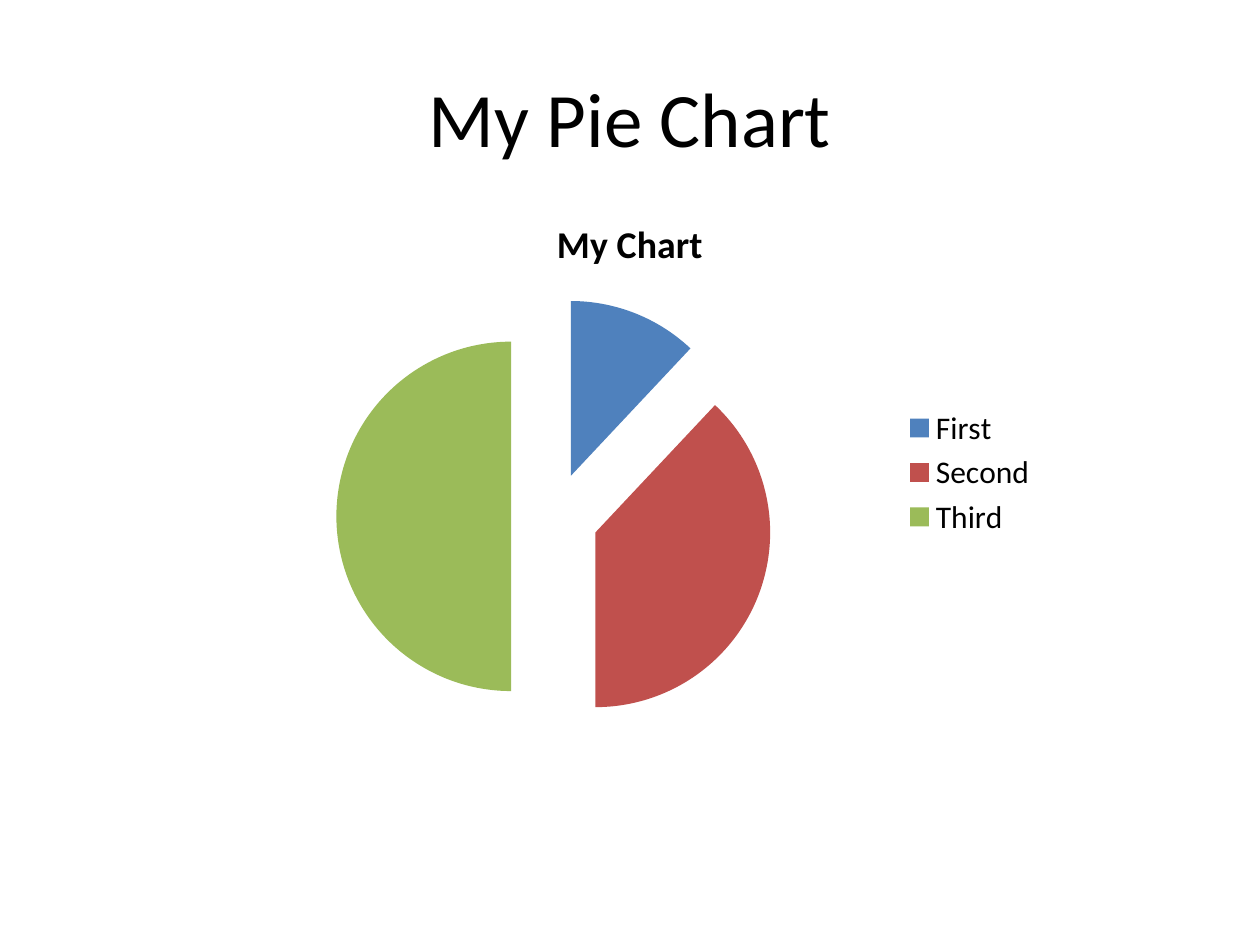
"""Build a slide with a title and an exploded pie chart."""
from lxml import etree
from pptx import Presentation
from pptx.chart.data import CategoryChartData
from pptx.dml.color import RGBColor
from pptx.enum.chart import XL_CHART_TYPE, XL_LEGEND_POSITION
from pptx.enum.text import MSO_ANCHOR, PP_ALIGN
from pptx.oxml.ns import qn
from pptx.util import Inches, Pt

PIE = XL_CHART_TYPE.PIE
RIGHT = XL_LEGEND_POSITION.RIGHT
MIDDLE, CENTER = MSO_ANCHOR.MIDDLE, PP_ALIGN.CENTER
BLACK = RGBColor(0, 0, 0)
BLUE = RGBColor(0x4F, 0x81, 0xBD)
RED = RGBColor(0xC0, 0x50, 0x4D)
GREEN = RGBColor(0x9B, 0xBB, 0x59)

HEAD, NAME = "My Pie Chart", "My Chart"
SLICES = [("First", 12, BLUE), ("Second", 38, RED), ("Third", 50, GREEN)]
GAP = 25
WIDE, HIGH = Inches(10), Inches(7.5)
BASE = {"name": "Calibri", "size": Pt(18), "bold": False}
LARGE = {**BASE, "size": Pt(44)}
BOLD = {**BASE, "size": Pt(21.6), "bold": True}


def style(font, form):
    """Apply a dict of format values to a font."""
    for key, val in form.items():
        setattr(font, key, val)
    font.color.rgb = BLACK


def place(item, box):
    """Set left, top, width and height of a shape."""
    for key, val in zip(("left", "top", "width", "height"), box):
        setattr(item, key, int(val))


deck = Presentation()
deck.slide_width, deck.slide_height = WIDE, HIGH
slide = deck.slides.add_slide(deck.slide_layouts[5])

title = slide.shapes.title
place(title, (WIDE * 0.05, HIGH * 0.04, WIDE * 0.9, HIGH / 6))
title.text_frame.text = HEAD
title.text_frame.vertical_anchor = MIDDLE
line = title.text_frame.paragraphs[0]
line.alignment = CENTER
style(line.runs[0].font, LARGE)

labels, values, colors = zip(*SLICES)
data = CategoryChartData()
data.categories = labels
data.add_series(NAME, values)
box = [int(n) for n in (WIDE / 6, Inches(1.53), WIDE * 2 / 3, Inches(4.44))]
chart = slide.shapes.add_chart(PIE, *box, data).chart
style(chart.font, BASE)

chart.has_title = True
chart.chart_title.include_in_layout = False
chart.chart_title.text_frame.text = NAME
style(chart.chart_title.text_frame.paragraphs[0].runs[0].font, BOLD)

chart.has_legend = True
chart.legend.position = RIGHT
chart.legend.include_in_layout = False
style(chart.legend.font, BASE)

plot = chart.plots[0]
plot.vary_by_categories = True
series = plot.series[0]
for i, color in enumerate(colors):
    fill = series.points[i].format.fill
    fill.solid()
    fill.fore_color.rgb = color
burst = etree.Element(qn("c:explosion"), val=str(GAP))
series._element.find(qn("c:dPt")).addprevious(burst)

deck.save("out.pptx")
